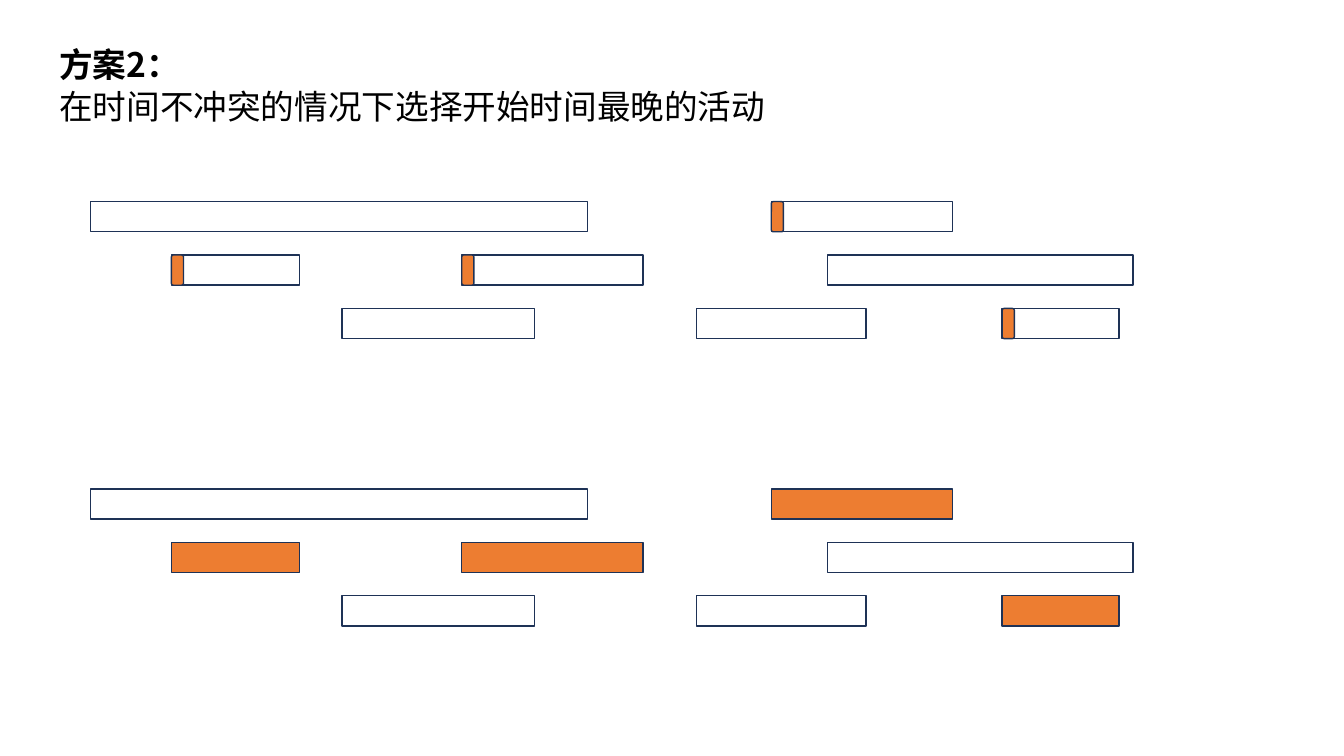
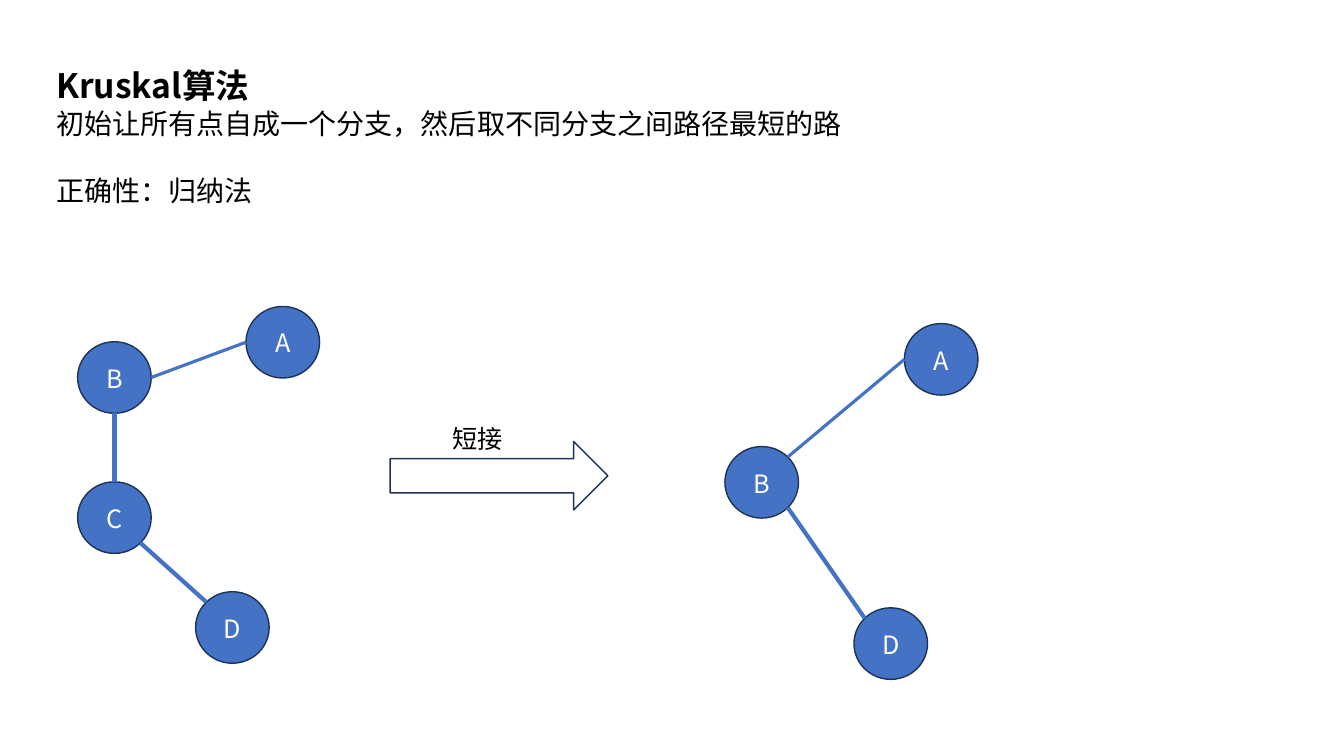
import dataclasses
import math

import lxml.etree
import pptx
import pptx.dml.color
import pptx.enum.lang
import pptx.enum.shapes
import pptx.enum.text
import pptx.oxml.ns
import pptx.util

Inches = pptx.util.Inches
Pt = pptx.util.Pt
SHAPE = pptx.enum.shapes.MSO_SHAPE
ALIGN = pptx.enum.text.PP_ALIGN


@dataclasses.dataclass(frozen=True)
class Theme:
    font: str = "Noto Sans CJK SC"
    ink: str = "000000"
    paper: str = "FFFFFF"
    outline: str = "1E3256"
    chosen: str = "ED7D31"
    node: str = "4472C4"
    title_size: int = 24
    body_size: int = 20
    label_size: int = 18
    leading: float = 1.25
    outline_width: float = 1
    thin_edge: float = 2.25
    thick_edge: float = 3


THEME = Theme()

ACTIVITIES = [
    (0.9, 0, 4.93, False),
    (1.7, 1, 1.27, True),
    (3.39, 2, 1.91, False),
    (4.58, 1, 1.8, True),
    (7.65, 0, 1.8, True),
    (6.91, 2, 1.68, False),
    (8.21, 1, 3.03, False),
    (9.94, 2, 1.16, True),
]
BAR_HEIGHT = 0.3
ROW_STEP = 0.53
MARK_WIDTH = 0.12

NODE_WIDTH = 0.73
NODE_HEIGHT = 0.71
SITE_ANGLES = {
    "right": 0, "bottom right": 45, "bottom": 90,
    "left": 180, "top left": 225, "top": 270, "top right": 315,
}
FULL_TREE = (
    {"A": (2.44, 3.04), "B": (0.77, 3.39), "C": (0.77, 4.78), "D": (1.94, 5.87)},
    [
        ("B", "right", "A", "left", THEME.thin_edge),
        ("B", "bottom", "C", "top", THEME.thick_edge),
        ("C", "bottom right", "D", "top left", THEME.thick_edge),
    ],
)
SHORTENED_TREE = (
    {"A": (8.97, 3.21), "B": (7.19, 4.43), "D": (8.47, 6.03)},
    [
        ("B", "top right", "A", "left", THEME.thin_edge),
        ("B", "bottom right", "D", "top left", THEME.thick_edge),
    ],
)


def rgb(value):
    return pptx.dml.color.RGBColor.from_string(value)


def write_text(paragraph, text, *, size, color=THEME.ink, bold=False,
               align=ALIGN.LEFT, gap=0):
    paragraph.alignment = align
    paragraph.line_spacing = Pt(size * THEME.leading)
    paragraph.space_before = Pt(gap)
    run = paragraph.add_run()
    run.text = text
    font = run.font
    font.name = THEME.font
    font.size = Pt(size)
    font.bold = bold
    font.color.rgb = rgb(color)
    font.language_id = pptx.enum.lang.MSO_LANGUAGE_ID.SIMPLIFIED_CHINESE
    east_asian = lxml.etree.SubElement(
        run._r.get_or_add_rPr(), pptx.oxml.ns.qn("a:ea"))
    east_asian.set("typeface", THEME.font)


def add_text_box(slide, left, top, width, height, lines):
    frame = slide.shapes.add_textbox(
        Inches(left), Inches(top), Inches(width), Inches(height)).text_frame
    frame.word_wrap = False
    frame.auto_size = pptx.enum.text.MSO_AUTO_SIZE.SHAPE_TO_FIT_TEXT
    for index, (text, style) in enumerate(lines):
        paragraph = frame.add_paragraph() if index else frame.paragraphs[0]
        write_text(paragraph, text, **style)


def add_outlined(slide, kind, left, top, width, height, fill=None):
    shape = slide.shapes.add_shape(
        kind, Inches(left), Inches(top), Inches(width), Inches(height))
    shape.shadow.inherit = False
    if fill:
        shape.fill.solid()
        shape.fill.fore_color.rgb = rgb(fill)
    else:
        shape.fill.background()
    shape.line.color.rgb = rgb(THEME.outline)
    shape.line.width = Pt(THEME.outline_width)
    return shape


def add_schedule(slide, top, fill_chosen):
    for start, row, length, chosen in ACTIVITIES:
        row_top = top + row * ROW_STEP
        fill = THEME.chosen if chosen and fill_chosen else None
        add_outlined(slide, SHAPE.RECTANGLE, start, row_top, length, BAR_HEIGHT, fill)
        if chosen and not fill_chosen:
            add_outlined(slide, SHAPE.ROUNDED_RECTANGLE, start, row_top,
                         MARK_WIDTH, BAR_HEIGHT, THEME.chosen)


def add_node(slide, label, left, top):
    node = add_outlined(slide, SHAPE.OVAL, left, top,
                        NODE_WIDTH, NODE_HEIGHT, THEME.node)
    frame = node.text_frame
    frame.vertical_anchor = pptx.enum.text.MSO_ANCHOR.MIDDLE
    write_text(frame.paragraphs[0], label, size=THEME.label_size,
               color=THEME.paper, align=ALIGN.CENTER)


def node_site(position, site):
    left, top = position
    angle = math.radians(SITE_ANGLES[site])
    return (Inches(left + NODE_WIDTH / 2 * (1 + math.cos(angle))),
            Inches(top + NODE_HEIGHT / 2 * (1 + math.sin(angle))))


def add_edge(slide, start, end, width):
    edge = slide.shapes.add_connector(
        pptx.enum.shapes.MSO_CONNECTOR.STRAIGHT, *start, *end)
    edge.line.color.rgb = rgb(THEME.node)
    edge.line.width = Pt(width)
    lxml.etree.SubElement(edge._element.spPr, pptx.oxml.ns.qn("a:effectLst"))


def add_tree(slide, nodes, edges):
    for label, position in nodes.items():
        add_node(slide, label, *position)
    for source, source_site, target, target_site, width in edges:
        add_edge(slide, node_site(nodes[source], source_site),
                 node_site(nodes[target], target_site), width)


def build_activity_slide(slide):
    add_text_box(slide, 0.49, 0.37, 7.27, 0.91, [
        ("方案2：", {"size": THEME.title_size, "bold": True}),
        ("在时间不冲突的情况下选择开始时间最晚的活动", {"size": THEME.title_size}),
    ])
    add_schedule(slide, 2, fill_chosen=False)
    add_schedule(slide, 4.85, fill_chosen=True)


def build_kruskal_slide(slide):
    add_text_box(slide, 0.46, 0.58, 8.06, 1.51, [
        ("Kruskal算法", {"size": THEME.title_size, "bold": True}),
        ("初始让所有点自成一个分支，然后取不同分支之间路径最短的路",
         {"size": THEME.body_size}),
        ("正确性：归纳法", {"size": THEME.body_size, "gap": 23}),
    ])
    add_tree(slide, *FULL_TREE)
    add_outlined(slide, SHAPE.RIGHT_ARROW, 3.87, 4.38, 2.16, 0.68)
    add_text_box(slide, 4.39, 4.14, 0.71, 0.4,
                 [("短接", {"size": THEME.label_size})])
    add_tree(slide, *SHORTENED_TREE)


def main():
    deck = pptx.Presentation()
    deck.slide_width = Inches(13.33)
    deck.slide_height = Inches(7.5)
    for build in (build_activity_slide, build_kruskal_slide):
        build(deck.slides.add_slide(deck.slide_layouts[6]))
    deck.save("out.pptx")


if __name__ == "__main__":
    main()
